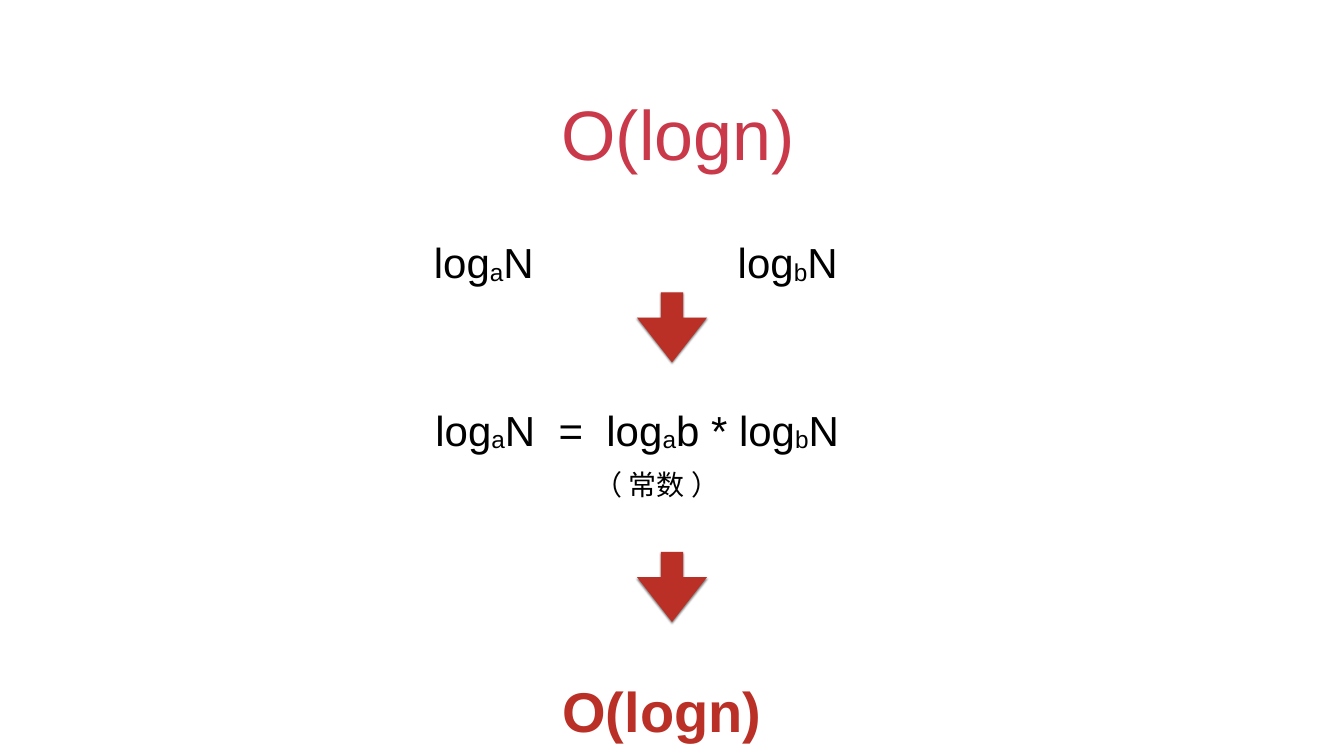
from pptx import Presentation
from pptx.dml.color import RGBColor
from pptx.enum.shapes import MSO_SHAPE as SHAPE
from pptx.enum.text import MSO_ANCHOR as ANCHOR, MSO_AUTO_SIZE as AUTO, PP_ALIGN as ALIGN
from pptx.oxml import parse_xml
from pptx.oxml.ns import nsdecls
from pptx.util import Inches, Pt

RED = "BA3027"


def color(hex_code):
    return RGBColor.from_string(hex_code)


def format_text(tf, size, hex_code, bold=False):
    tf.margin_left = tf.margin_right = tf.margin_top = tf.margin_bottom = Inches(0.06)
    for r in tf.paragraphs[0].runs:
        r.font.name = "Arial"
        r.font.size = Pt(size)
        r.font.bold = bold
        r.font.color.rgb = color(hex_code)


prs = Presentation()
prs.slide_width, prs.slide_height = Inches(26.67), Inches(15)
s = prs.slides.add_slide(prs.slide_layouts[0])

# Title
subtitle = s.placeholders[1].element
subtitle.getparent().remove(subtitle)
title = s.shapes.title
title.left, title.top = Inches(1.94), Inches(1.3)
title.width, title.height = Inches(22.78), Inches(2.22)
tf = title.text_frame
tf.text = "O(logn)"
tf.auto_size = AUTO.NONE
tf.vertical_anchor = ANCHOR.BOTTOM
p = tf.paragraphs[0]
p.alignment = ALIGN.CENTER
pPr = p._p.get_or_add_pPr()
pPr.set("marL", "0")
pPr.set("indent", str(Inches(0.25)))
format_text(tf, 100, "C9394A")

# Formulas, note and conclusion; "_" marks the next letter as a subscript
texts = [
    ("log_aN", 8.55, 4.39, 3.54, 1.11, 60, "000000", False),
    ("log_bN", 14.58, 4.39, 3.54, 1.11, 60, "000000", False),
    ("log_aN  =  log_ab * log_bN", 8.58, 7.72, 8.75, 1.11, 60, "000000", False),
    ("（ 常数 ）", 11.74, 9, 2.8, 0.89, 40, "000000", False),
    ("O(logn)", 11.1, 13.04, 4.3, 1.44, 80, RED, True),
]
for text, x, y, w, h, size, hex_code, bold in texts:
    tf = s.shapes.add_textbox(Inches(x), Inches(y), Inches(w), Inches(h)).text_frame
    tf.word_wrap = True
    tf.auto_size = AUTO.SHAPE_TO_FIT_TEXT
    tf.vertical_anchor = ANCHOR.MIDDLE
    p = tf.paragraphs[0]
    p.line_spacing = 1.5
    start, *parts = text.split("_")
    p.add_run().text = start
    for part in parts:
        r = p.add_run()
        r.text = part[0]
        r.font._element.set("baseline", "-6000")
        p.add_run().text = part[1:]
    format_text(tf, size, hex_code, bold)

# Arrows with a soft shadow below
for y in (5.8, 10.95):
    sp = s.shapes.add_shape(SHAPE.DOWN_ARROW, Inches(12.64), Inches(y), Inches(1.39), Inches(1.39))
    sp.adjustments[0], sp.adjustments[1] = 0.32, 0.64
    sp.fill.solid()
    sp.fill.fore_color.rgb = color(RED)
    sp.line.fill.background()
    sp.shadow.inherit = False
    effects = sp._element.spPr.find("{*}effectLst")
    effects.append(parse_xml(
        f'<a:outerShdw {nsdecls("a")} blurRad="{Pt(3)}" dist="{Pt(2)}" dir="5400000" rotWithShape="0">'
        '<a:srgbClr val="000000"><a:alpha val="50000"/></a:srgbClr></a:outerShdw>'))

prs.save("out.pptx")
